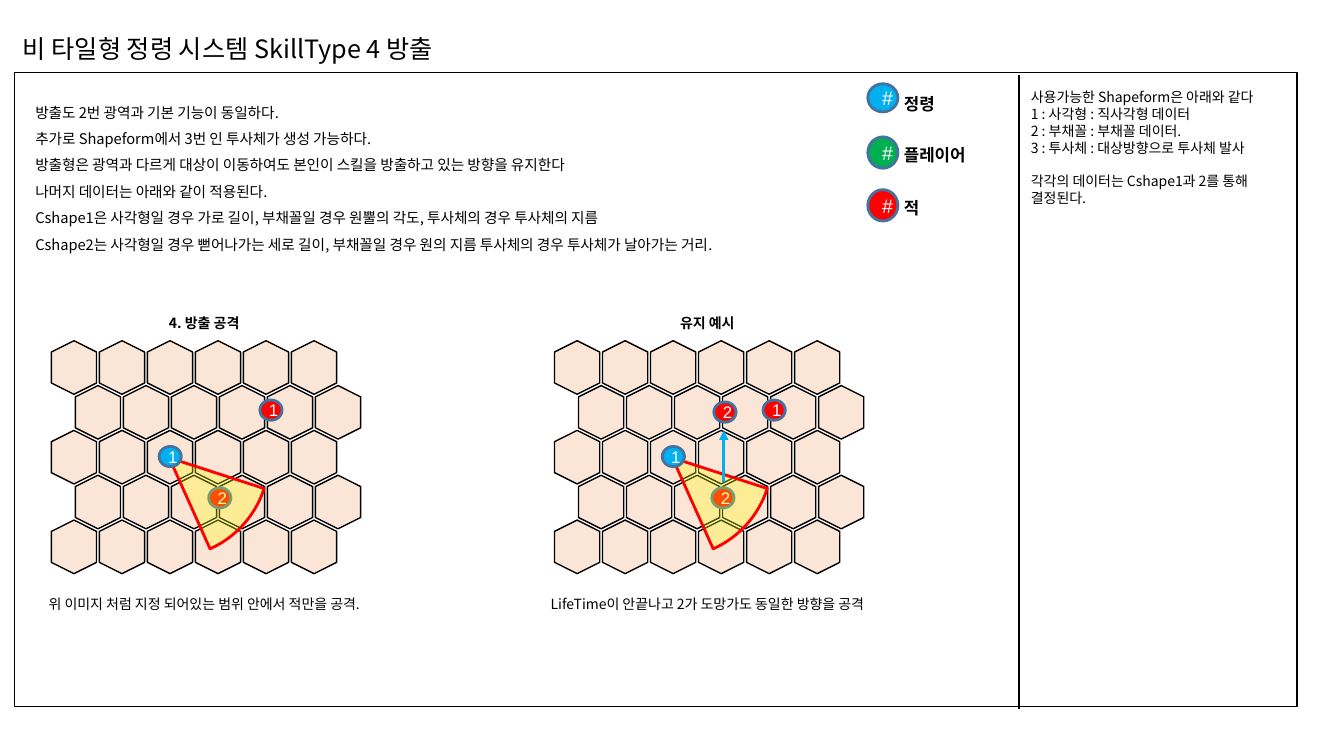
from lxml import etree
from pptx import Presentation
from pptx import util as u
from pptx.dml.color import RGBColor
from pptx.enum import shapes, text
from pptx.oxml.ns import qn

BLACK = RGBColor(0x00, 0x00, 0x00)
WHITE = RGBColor(0xFF, 0xFF, 0xFF)
TILE = RGBColor(0xFB, 0xE5, 0xD6)
SPIRIT = RGBColor(0x00, 0xB0, 0xF0)
PLAYER = RGBColor(0x00, 0xB0, 0x50)
ENEMY = RGBColor(0xFF, 0x00, 0x00)
RING = RGBColor(0x43, 0x73, 0x9E)
SECTOR = RGBColor(0xFF, 0xFF, 0x00)
KOREAN, LATIN = "Noto Sans CJK KR", "Arial"
PANEL_STEP = 12.68

RULES = [
    "방출도 2번 광역과 기본 기능이 동일하다.",
    "추가로 Shapeform에서 3번 인 투사체가 생성 가능하다.",
    "방출형은 광역과 다르게 대상이 이동하여도 본인이 스킬을 방출하고 있는 방향을 유지한다",
    "나머지 데이터는 아래와 같이 적용된다.",
    "Cshape1은 사각형일 경우 가로 길이, 부채꼴일 경우 원뿔의 각도, 투사체의 경우 투사체의 지름",
    "Cshape2는 사각형일 경우 뻗어나가는 세로 길이, 부채꼴일 경우 원의 지름 투사체의 경우 "
    "투사체가 날아가는 거리.",
]
SHAPEFORMS = [
    "사용가능한 Shapeform은 아래와 같다",
    "1 : 사각형 : 직사각형 데이터",
    "2 : 부채꼴 : 부채꼴 데이터.",
    "3 : 투사체 : 대상방향으로 투사체 발사",
    "각각의 데이터는 Cshape1과 2를 통해 결정된다.",
]
LEGEND = [  # label, colour, marker top, marker height, label top
    ("정령", SPIRIT, 2.11, 0.71, 1.98),
    ("플레이어", PLAYER, 3.45, 0.79, 3.28),
    ("적", ENEMY, 4.78, 0.79, 4.6),
]


def add_text(s, box, lines, size, bold=False, font=KOREAN, spacing=None, align=None):
    """Add a wrapping text box with one paragraph per line."""
    tf = s.shapes.add_textbox(*map(u.Cm, box)).text_frame
    tf.word_wrap = True
    for i, line in enumerate(lines):
        p = tf.add_paragraph() if i else tf.paragraphs[0]
        p.text = line
        p.alignment, p.line_spacing = align, spacing
        p.font.size, p.font.bold, p.font.name = u.Pt(size), bold, font
        p.font.color.rgb = BLACK
    return tf


def add_outlined(s, kind, box, fill, line, width, rotation=0):
    """Add a preset shape with a fill (or none) and an outline."""
    sp = s.shapes.add_shape(kind, *map(u.Cm, box))
    sp.shadow.inherit = False
    sp.rotation = rotation
    if fill is None:
        sp.fill.background()
    else:
        sp.fill.solid()
        sp.fill.fore_color.rgb = fill
    sp.line.color.rgb, sp.line.width = line, u.Pt(width)
    return sp


def add_marker(s, box, label, fill, size):
    """Add a ringed circle holding one character."""
    sp = add_outlined(s, shapes.MSO_SHAPE.OVAL, box, fill, RING, 2)
    sp.text_frame.vertical_anchor = text.MSO_ANCHOR.MIDDLE
    p = sp.text_frame.paragraphs[0]
    p.text, p.alignment = label, text.PP_ALIGN.CENTER
    p.font.size, p.font.name, p.font.color.rgb = u.Pt(size), LATIN, WHITE


def add_unit(s, x, y, label, fill):
    """Add a numbered unit on the board."""
    add_marker(s, (x, y, 0.56, 0.51), label, fill, 12)


def add_line(s, start, end, color, width, arrow=False):
    """Add a straight line, with an arrowhead at its end if asked."""
    ends = map(u.Cm, (*start, *end))
    c = s.shapes.add_connector(shapes.MSO_CONNECTOR.STRAIGHT, *ends)
    c.line.color.rgb, c.line.width = color, u.Pt(width)
    if arrow:
        etree.SubElement(c.line._get_or_add_ln(), qn("a:tailEnd"), type="triangle")
    etree.SubElement(c._element.spPr, qn("a:effectLst"))


def add_board(s, dx):
    """Add five rows of six hexagons, odd rows shifted by half a tile."""
    for row in range(5):
        for col in range(6):
            x = dx + 1.19 + 1.21 * (col + row % 2 / 2)
            box = (x, 8.69 + 1.13 * row, 1.35, 1.14)
            add_outlined(s, shapes.MSO_SHAPE.HEXAGON, box, TILE, BLACK, 1, 270)


def add_sector(s, dx):
    """Add the translucent attack sector that covers enemy 2."""
    box = (dx + 1.75, 9.02, 5.03, 5.03)
    sp = add_outlined(s, shapes.MSO_SHAPE.PIE, box, SECTOR, ENEMY, 2, 270)
    sp.adjustments[0], sp.adjustments[1] = 64.76, 93.5
    color = sp._element.spPr.find(qn("a:solidFill"))[0]
    etree.SubElement(color, qn("a:alpha"), val="30000")


def add_panel(s, dx, heading, caption):
    """Add a board with its units, sector, heading and caption."""
    add_board(s, dx)
    for top, line, bold in ((7.59, heading, True), (14.68, caption, False)):
        add_text(s, (dx + 0.33, top, 9.63, 0.89), [line], 10, bold,
                 spacing=1.5, align=text.PP_ALIGN.CENTER)
    add_unit(s, dx + 5.26, 12.29, "2", ENEMY)
    add_unit(s, dx + 6.55, 10.08, "1", ENEMY)
    add_sector(s, dx)
    add_unit(s, dx + 4.01, 11.25, "1", SPIRIT)


def add_legend(s):
    """Add the colour key for the units."""
    for label, fill, top, height, label_top in LEGEND:
        add_marker(s, (21.87, top, 0.76, height), "#", fill, 14)
        add_text(s, (22.53, label_top, 2.69, 0.91), [label], 12, True, LATIN, 1.5)


def main():
    """Build the slide and save it."""
    prs = Presentation()
    prs.slide_width, prs.slide_height = u.Cm(33.87), u.Cm(19.05)
    s = prs.slides.add_slide(prs.slide_layouts[6])

    add_text(s, (0.33, 0.71, 15.85, 1.02), ["비 타일형 정령 시스템 SkillType 4 방출"], 18)
    add_outlined(s, shapes.MSO_SHAPE.RECTANGLE, (0.36, 1.83, 32.33, 15.98), None, BLACK, 1)
    add_line(s, (25.68, 1.88), (25.68, 17.86), BLACK, 0.75)
    add_text(s, (0.64, 2.26, 23.19, 4.29), RULES, 10.5, spacing=1.5)
    add_legend(s)
    tf = add_text(s, (25.73, 2.11, 6.63, 3.25), SHAPEFORMS, 10)
    tf.paragraphs[-1].space_before = u.Pt(12)

    add_panel(s, 0, "4. 방출 공격", "위 이미지 처럼 지정 되어있는 범위 안에서 적만을 공격.")
    add_panel(s, PANEL_STEP, "유지 예시", "LifeTime이 안끝나고 2가 도망가도 동일한 방향을 공격")
    add_unit(s, PANEL_STEP + 5.31, 10.13, "2", ENEMY)
    add_line(s, (18.24, 12.14), (18.24, 10.85), SPIRIT, 2.25, arrow=True)
    prs.save("out.pptx")


main()
